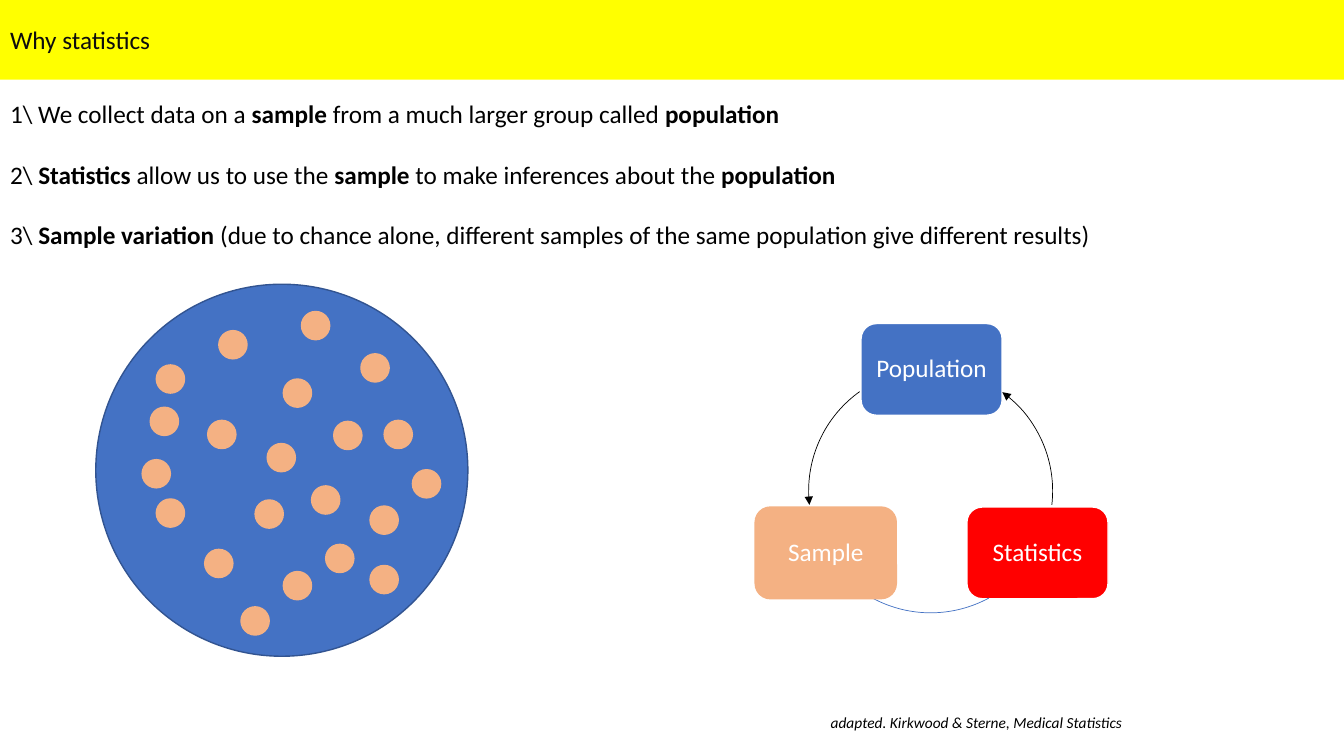
"""Build the slide on why statistics links samples to populations."""
from lxml.etree import SubElement
from pptx import Presentation
from pptx.dml.color import RGBColor
from pptx.enum.shapes import MSO_SHAPE
from pptx.enum.text import MSO_ANCHOR, MSO_AUTO_SIZE, PP_ALIGN
from pptx.oxml.ns import qn
from pptx.util import Inches, Pt


def paint(color_format, hex_color):
    color_format.rgb = RGBColor.from_string(hex_color)


def add_figure(kind, left, top, width, height, fill, line, weight=1):
    shape = slide.shapes.add_shape(
        kind, Inches(left), Inches(top), Inches(width), Inches(height))
    shape.shadow.inherit = False
    if fill:
        shape.fill.solid()
        paint(shape.fill.fore_color, fill)
    else:
        shape.fill.background()
    paint(shape.line.color, line)
    shape.line.width = Pt(weight)
    return shape


BLUE, ORANGE, RED, WHITE, BLACK = "4472C4", "F4B183", "FF0000", "FFFFFF", "000000"
BODY_FONT = {"name": "Calibri", "size": Pt(18)}

presentation = Presentation()
presentation.slide_width = Inches(13.33)
presentation.slide_height = Inches(7.5)
slide = presentation.slides.add_slide(presentation.slide_layouts[1])

title = slide.shapes.title
body = slide.placeholders[1]
source = slide.shapes.add_textbox(0, 0, 0, 0)
text_boxes = [
    (title, (0, 0, 13.33, 0.79), MSO_ANCHOR.MIDDLE, True),
    (body, (0, 0.93, 11.14, 1.62), MSO_ANCHOR.TOP, True),
    (source, (8.14, 7.03, 3.12, 0.29), MSO_ANCHOR.TOP, False),
]
for shape, place, anchor, wrap in text_boxes:
    for name, value in zip(("left", "top", "width", "height"), place):
        setattr(shape, name, Inches(value))
    frame_format = {"vertical_anchor": anchor, "word_wrap": wrap,
                    "auto_size": MSO_AUTO_SIZE.NONE}
    for name, value in frame_format.items():
        setattr(shape.text_frame, name, value)

title.fill.solid()
paint(title.fill.fore_color, "FFFF00")
title.text_frame.text = "Why statistics"
source.text_frame.text = "adapted. Kirkwood & Sterne, Medical Statistics"
captions = [
    (title, "0D0D0D", BODY_FONT),
    (source, BLACK, {"name": "Calibri", "size": Pt(11), "italic": True}),
]
for shape, color, font_format in captions:
    paragraph = shape.text_frame.paragraphs[0]
    paragraph.alignment = PP_ALIGN.LEFT
    font = paragraph.runs[0].font
    for name, value in font_format.items():
        setattr(font, name, value)
    paint(font.color, color)

points = [
    r"1\ We collect data on a *sample* from a much larger group called *population*",
    r"2\ *Statistics *allow us to use the *sample *to make inferences about the *population*",
    r"3\ *Sample variation *(due to chance alone, different samples of the same "
    "population give different results)",
]
body.text_frame.text = "\n".join(points)
for paragraph, point in zip(body.text_frame.paragraphs, points):
    paragraph.clear()
    paragraph_format = {"alignment": PP_ALIGN.LEFT, "line_spacing": 1.0,
                        "space_before": Pt(0), "space_after": Pt(21.5)}
    for name, value in paragraph_format.items():
        setattr(paragraph, name, value)
    properties = paragraph._p.get_or_add_pPr()
    properties.set("marL", "0")
    properties.set("indent", "0")
    SubElement(properties, qn("a:buNone"))
    for index, words in enumerate(point.split("*")):
        if words:
            run = paragraph.add_run()
            run.text = words
            for name, value in {**BODY_FONT, "bold": index % 2 == 1}.items():
                setattr(run.font, name, value)
            paint(run.font.color, BLACK)

add_figure(MSO_SHAPE.OVAL, 0.95, 2.82, 3.69, 3.69, BLUE, "325491")
sample_dots = [
    (2.17, 3.28), (2.81, 3.76), (3.81, 4.17), (3.58, 3.51), (2.53, 4.96),
    (3.09, 4.82), (2.06, 4.17), (2.81, 5.67), (3.67, 5.02), (3.31, 4.18),
    (1.55, 4.95), (2.65, 4.4), (1.49, 4.04), (3.67, 5.61), (2.03, 5.45),
    (2.99, 3.09), (1.41, 4.56), (1.55, 3.62), (2.39, 6.02), (3.23, 5.4),
    (4.09, 4.66),
]
for left, top in sample_dots:
    add_figure(MSO_SHAPE.OVAL, left, top, 0.28, 0.28, ORANGE, ORANGE)

cycle = [
    ("Population", 8.54, 3.21, BLUE, WHITE, (306, 6.6), BLACK, True),
    ("Statistics", 9.59, 5.03, RED, WHITE, (61.5, 118.5), BLUE, False),
    ("Sample", 7.49, 5.03, ORANGE, ORANGE, (173.4, 234.5), BLACK, True),
]
for label, left, top, fill, line, angles, arc_color, has_arrow in cycle:
    node = add_figure(MSO_SHAPE.ROUNDED_RECTANGLE, left, top, 1.4, 0.91, fill, line)
    frame = node.text_frame
    frame.text = label
    for side in ("left", "top", "right", "bottom"):
        setattr(frame, f"margin_{side}", Inches(0.07))
    frame.vertical_anchor = MSO_ANCHOR.MIDDLE
    paragraph = frame.paragraphs[0]
    paragraph.alignment = PP_ALIGN.CENTER
    paragraph.line_spacing = 0.9
    font = paragraph.runs[0].font
    for name, value in BODY_FONT.items():
        setattr(font, name, value)
    paint(font.color, WHITE)

    arc = add_figure(MSO_SHAPE.ARC, 8.02, 3.66, 2.42, 2.42, None, arc_color, 0.5)
    for index, degrees in enumerate(angles):
        arc.adjustments[index] = degrees * 0.6
    if has_arrow:
        SubElement(arc.line._get_or_add_ln(), qn("a:headEnd"), type="triangle")

presentation.save("out.pptx")
